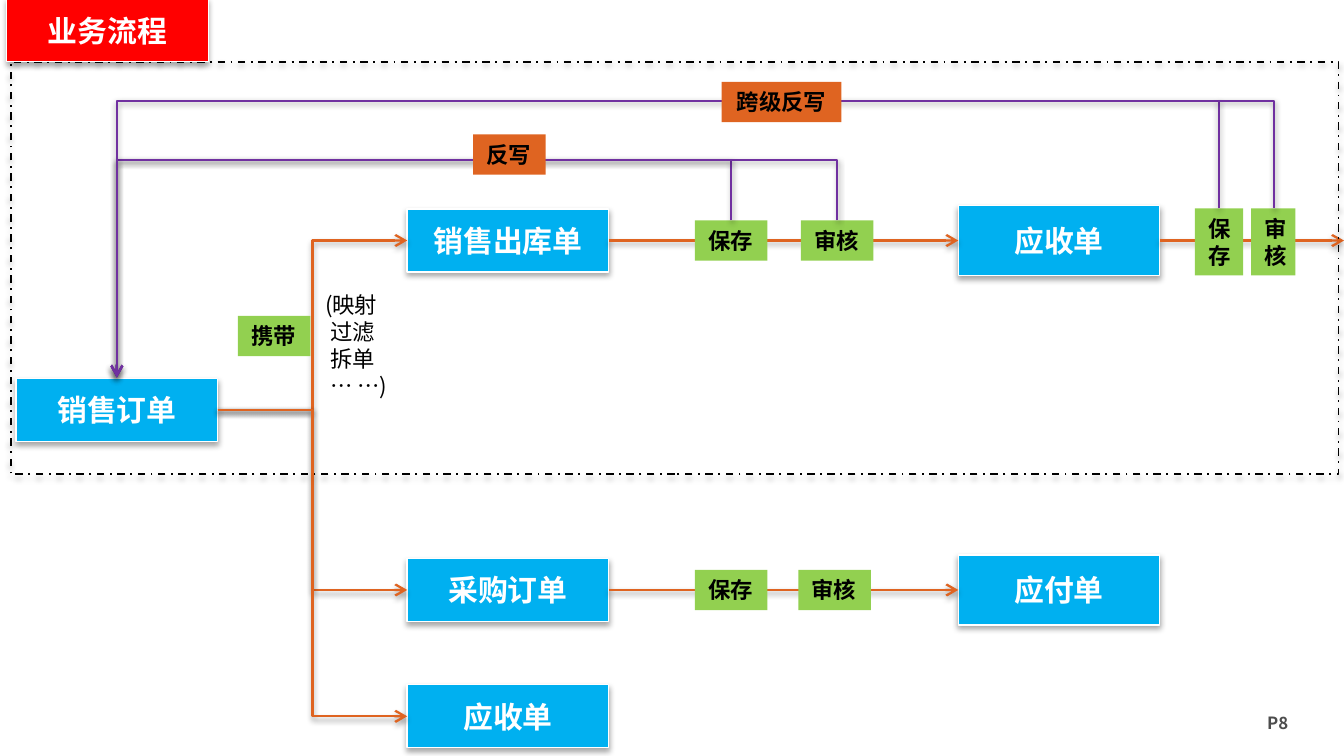
from lxml.etree import SubElement as Sub
from pptx import Presentation
from pptx.dml.color import RGBColor
from pptx.enum.dml import MSO_LINE as Dash
from pptx.enum.shapes import MSO_CONNECTOR as Link, MSO_SHAPE as Kind
from pptx.enum.text import MSO_ANCHOR as Anchor, MSO_AUTO_SIZE as Fit, PP_ALIGN as Align
from pptx.oxml.ns import qn
from pptx.util import Inches, Pt

FONT = "Noto Sans CJK SC"
BLUE, GREEN, RUST, PLUM = "00B0F0", "92D050", "DF6421", "7030A0"
WHITE, BLACK, RED, GREY = "FFFFFF", "000000", "FF0000", "4D4D4D"


def grid(cells):
    """Turn grid cells, 100 to the slide width, into a length."""
    return Inches(round(cells / 10, 3))


def hue(code):
    """Turn a hex string into a colour."""
    return RGBColor.from_string(code)


def shade(props, alpha, dist):
    """Give shape properties a soft shadow that falls straight down."""
    found = props.find(qn("a:effectLst"))
    effect = Sub(props, qn("a:effectLst")) if found is None else found
    outer = Sub(effect, qn("a:outerShdw"), blurRad="40000", dist=str(dist),
                dir="5400000", rotWithShape="0")
    tint = Sub(outer, qn("a:srgbClr"), val=BLACK)
    Sub(tint, qn("a:alpha"), val=str(alpha * 1000))


def write(shape, text, size=12, color=BLACK, bold=True, align=Align.LEFT,
          anchor=Anchor.TOP, wrap=True, fit=Fit.SHAPE_TO_FIT_TEXT, hang=0):
    """Fill a shape with text, one paragraph a line, later ones indented by hang."""
    frame = shape.text_frame
    frame.word_wrap, frame.auto_size = wrap, fit
    frame.vertical_anchor = anchor
    for i, line in enumerate(text.split("\n")):
        para = frame.add_paragraph() if i else frame.paragraphs[0]
        para.alignment = align
        if i and hang:
            para._p.get_or_add_pPr().set("marL", str(Pt(hang)))
        run = para.add_run()
        run.text = line
        font = run.font
        font.name, font.size, font.bold = FONT, Pt(size), bold
        font.color.rgb = hue(color)
        Sub(run._r.get_or_add_rPr(), qn("a:ea"), typeface=FONT)


class Chart:
    """Draw the parts of a flow chart on one slide."""

    def __init__(self, deck):
        """Add a blank slide to the deck."""
        self.shapes = deck.slides.add_slide(deck.slide_layouts[6]).shapes

    def block(self, left, top, wide, tall, fill=None, line=None, width=0.75):
        """Draw a rectangle; a lined one casts a shadow."""
        shape = self.shapes.add_shape(Kind.RECTANGLE, *map(grid, (left, top, wide, tall)))
        shape.shadow.inherit = False
        if fill:
            shape.fill.solid()
            shape.fill.fore_color.rgb = hue(fill)
        else:
            shape.fill.background()
        if line:
            shape.line.color.rgb = hue(line)
            shape.line.width = Pt(width)
            shade(shape.element.spPr, 35, 23000)
        else:
            shape.line.fill.background()
        return shape

    def node(self, text, left, mid, tall=4.7, fill=BLUE):
        """Draw a step of the flow, centred on the row mid."""
        shape = self.block(left, mid - tall / 2, 15, tall, fill, WHITE)
        write(shape, text, 16, WHITE, align=Align.CENTER, anchor=Anchor.MIDDLE, fit=Fit.NONE)
        return shape

    def tag(self, text, left, top, wide=5.4, tall=3, fill=GREEN, **form):
        """Draw a small label on a line."""
        write(self.block(left, top, wide, tall, fill), text, **form)

    def note(self, text, left, top, wide, tall, **form):
        """Place free text."""
        write(self.shapes.add_textbox(*map(grid, (left, top, wide, tall))), text, **form)

    def link(self, kind, start, end, color=RUST, head=True):
        """Draw a connector between two points."""
        line = self.shapes.add_connector(kind, *map(grid, (*start, *end)))
        line.line.color.rgb = hue(color)
        line.line.width = Pt(1.25)
        if head:
            Sub(line.element.spPr.find(qn("a:ln")), qn("a:tailEnd"), type="arrow")
        shade(line.element.spPr, 38, 20000)
        return line

    def join(self, first, last, kind=Link.STRAIGHT):
        """Lead an arrow from the right of one step to the left of the next."""
        line = self.link(kind, (0, 0), (1, 1))
        line.begin_connect(first, 3)
        line.end_connect(last, 1)

    def loop(self, start, end, crest, head=True):
        """Draw a line up to the row crest, across, and down to the end."""
        (x, y), (u, v) = start, end
        wide, tall = v - y, abs(u - x)
        left, top = (x + u - wide) / 2, (y + v - tall) / 2
        line = self.link(Link.ELBOW, (left, top), (left + wide, top + tall), PLUM, head)
        frame = line.element.spPr.find(qn("a:xfrm"))
        frame.set("rot", "16200000")
        frame.set("flipH", "1")
        if u < x:
            frame.set("flipV", "1")
        bend = round((crest - y) / wide * 100000)
        Sub(line.element.xpath(".//a:avLst")[0], qn("a:gd"), name="adj1", fmla=f"val {bend}")


def main():
    """Build the slide and save it."""
    deck = Presentation()
    deck.slide_width, deck.slide_height = grid(100), grid(56.25)
    flow = Chart(deck)
    flow.note("P8", 93.3, 52.5, 5.6, 2.5, size=9, color=GREY)

    high, low, base = 17.9, 43.9, 53.3
    order = flow.node("销售订单", 1.2, 30.5)
    ship = flow.node("销售出库单", 30.3, high)
    bill = flow.node("应收单", 71.3, high, 5.2)
    buy = flow.node("采购订单", 30.3, low)
    debt = flow.node("应付单", 71.3, low, 5.2)
    claim = flow.node("应收单", 30.3, base)
    for step in (ship, buy, claim):
        flow.join(order, step, Link.ELBOW)
    flow.join(ship, bill)
    flow.join(buy, debt)

    flow.tag("携带", 17.7, 23.5, wrap=False)
    flow.note("(映射\n过滤\n拆单\n… …)", 23.2, 21.2, 7.1, 9.1, bold=False, hang=2.7)
    for mid, check in ((high, 59.6), (low, 59.4)):
        flow.tag("保存", 51.7, mid - 1.5, wrap=False)
        flow.tag("审核", check, mid - 1.5, wrap=False)
    out = flow.link(Link.STRAIGHT, (86.3, high), (100, high))
    out.begin_connect(bill, 3)
    flow.tag("保存", 88.9, 15.5, 3.6, 5)
    flow.tag("审核", 93.1, 15.5, 3.3, 5)

    goal = (8.7, 28.1)
    for col in (54.4, 62.3):
        flow.loop((col, 16.4), goal, 11.9)
    flow.tag("反写", 35.2, 10, fill=RUST, wrap=False)
    flow.loop((90.7, 15.5), goal, 7.5)
    flow.tag("跨级反写", 53.7, 6.1, 8.9, fill=RUST, align=Align.CENTER)
    flow.loop((90.7, 7.6), (94.8, 15.5), 7.5, head=False)

    frame = flow.block(0.8, 4.6, 98.8, 30.7, line=BLACK, width=1)
    frame.line.dash_style = Dash.DASH_DOT
    flow.node("业务流程", 0.5, 2.25, fill=RED)
    deck.save("out.pptx")


if __name__ == "__main__":
    main()
